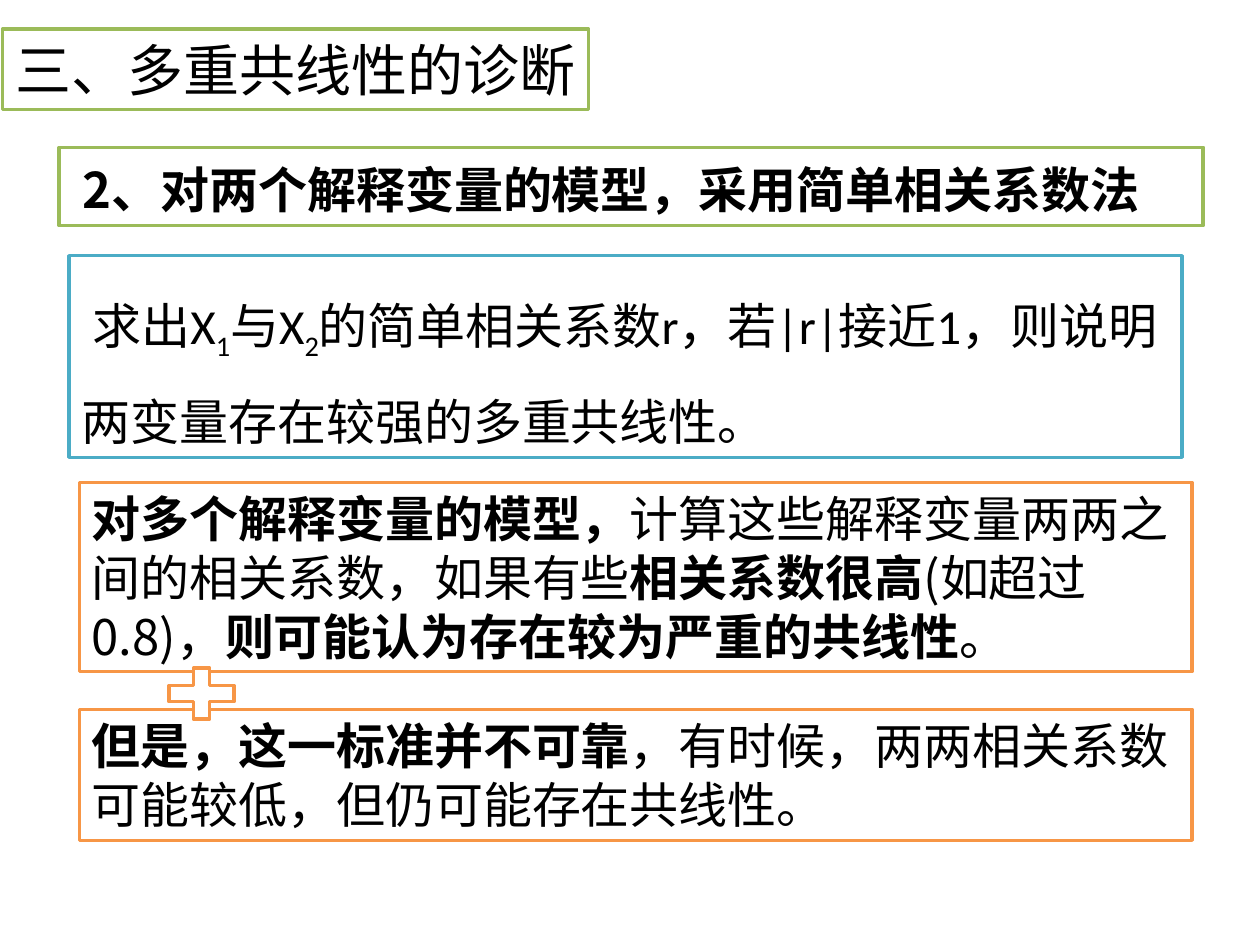
from pptx import Presentation
from pptx import util as u
from pptx.dml.color import RGBColor
from pptx.enum import shapes, text
from lxml import etree

WIDE, HIGH = 10, 7.5
HAN = "Noto Sans CJK SC"
LATIN = "Calibri"
GREEN, TEAL, ORANGE = "9BBB59", "4BACC6", "F79646"
A = "http://schemas.openxmlformats.org/drawingml/2006/main"


def color(code):
    return RGBColor.from_string(code)


def put(item, values):
    for name, value in values.items():
        setattr(item, name, value)


def inch(box):
    return [u.Inches(n) for n in box]


def paint(shape, edge):
    """White fill with a coloured outline."""
    shape.fill.solid()
    shape.fill.fore_color.rgb = color("FFFFFF")
    shape.line.color.rgb = color(edge)
    shape.line.width = u.Pt(2)


def write(shape, runs, font, size=28, space=1.0, grow=True):
    """Fill one paragraph; each run is (words, mark), b = bold, s = subscript."""
    frame = shape.text_frame
    fit = text.MSO_AUTO_SIZE
    put(frame, {
        "word_wrap": True,
        "auto_size": fit.SHAPE_TO_FIT_TEXT if grow else fit.NONE,
        "vertical_anchor": text.MSO_ANCHOR.TOP,
    })
    para = frame.paragraphs[0]
    put(para, {"alignment": text.PP_ALIGN.LEFT, "line_spacing": space})
    for words, mark in runs:
        run = para.add_run()
        run.text = words
        put(run.font, {"name": font, "size": u.Pt(size), "bold": mark == "b"})
        run.font.color.rgb = color("000000")
        props = run._r.get_or_add_rPr()
        etree.SubElement(props, f"{{{A}}}ea").set("typeface", HAN)
        if mark == "s":
            props.set("baseline", "-25000")


def head(slide, box, edge, words):
    """Title placeholder as a framed heading on one line."""
    title = slide.shapes.title
    put(title, dict(zip(("left", "top", "width", "height"), inch(box))))
    paint(title, edge)
    write(title, [(words, "")], LATIN, size=32, grow=False)
    # The narrow right inset leaves room for the whole line
    title.text_frame.margin_right = 0


def panel(slide, box, edge, runs, font=HAN, **style):
    """Framed text box."""
    shape = slide.shapes.add_textbox(*inch(box))
    paint(shape, edge)
    write(shape, runs, font, **style)


def plus(slide, box, edge):
    """Plus sign that links two panels."""
    shape = slide.shapes.add_shape(shapes.MSO_SHAPE.MATH_PLUS, *inch(box))
    shape.shadow.inherit = False
    paint(shape, edge)


def main():
    deck = Presentation()
    deck.slide_width, deck.slide_height = inch((WIDE, HIGH))
    slide = deck.slides.add_slide(deck.slide_layouts[5])
    left, wide = 0.63, 8.83

    # Heading and method
    head(slide, (0.02, 0.23, 4.65, 0.64), GREEN, "三、多重共线性的诊断")
    panel(slide, (0.47, 1.17, 9.08, 0.62), GREEN,
          [(" 2、对两个解释变量的模型，采用简单相关系数法", "b")],
          space=1.1, grow=False)

    # Two variables
    panel(slide, (0.55, 2.03, wide, 1.6), TEAL, [
        (" 求出X", ""), ("1", "s"), ("与X", ""), ("2", "s"),
        ("的简单相关系数r，若|r|接近1，则说明两变量存在较强的多重共线性。", ""),
    ], font=LATIN, space=1.5)

    # Several variables and the caveat
    panel(slide, (left, 3.83, wide, 1.5), ORANGE, [
        ("对多个解释变量的模型，", "b"),
        ("计算这些解释变量两两之间的相关系数，如果有些", ""),
        ("相关系数很高", "b"),
        ("(如超过0.8)，", ""),
        ("则可能认为存在较为严重的共线性", "b"),
        ("。", ""),
    ])
    panel(slide, (left, 5.63, wide, 1.04), ORANGE, [
        ("但是，这一标准并不可靠", "b"),
        ("，有时候，两两相关系数可能较低，但仍可能存在共线性。", ""),
    ])
    plus(slide, (1.25, 5.23, 0.7, 0.55), ORANGE)

    deck.save("out.pptx")


main()
